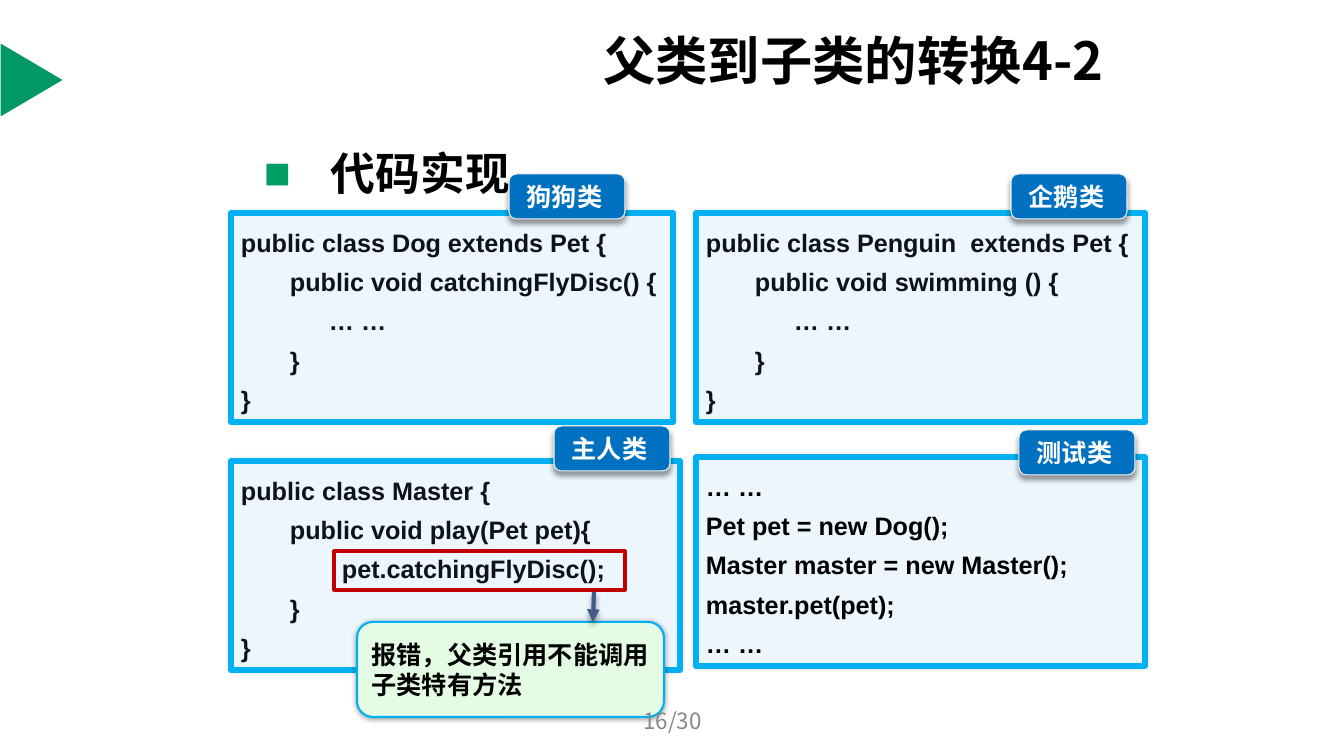
from dataclasses import dataclass

from lxml import etree
from pptx import Presentation
from pptx.dml.color import RGBColor
from pptx.enum.shapes import MSO_CONNECTOR, MSO_SHAPE
from pptx.enum.text import MSO_ANCHOR, PP_ALIGN
from pptx.oxml.ns import qn
from pptx.util import Emu, Pt

EMU_PER_PIXEL = 914400 / 100.8

RECT, ROUND, TRIANGLE = MSO_SHAPE.RECTANGLE, MSO_SHAPE.ROUNDED_RECTANGLE, MSO_SHAPE.ISOSCELES_TRIANGLE
TOP, MIDDLE, BOTTOM = MSO_ANCHOR.TOP, MSO_ANCHOR.MIDDLE, MSO_ANCHOR.BOTTOM
LEFT, CENTER = PP_ALIGN.LEFT, PP_ALIGN.CENTER
STRAIGHT = MSO_CONNECTOR.STRAIGHT

BLACK = RGBColor(0x00, 0x00, 0x00)
WHITE = RGBColor(0xFF, 0xFF, 0xFF)
INK = RGBColor(0x0D, 0x12, 0x1B)
GREEN = RGBColor(0x00, 0x99, 0x66)
BULLET_GREEN = RGBColor(0x00, 0x9E, 0x64)
PALE_BLUE = RGBColor(0xED, 0xF5, 0xFD)
SKY = RGBColor(0x00, 0xB0, 0xF0)
BLUE = RGBColor(0x00, 0x70, 0xC0)
PALE_GRAY = RGBColor(0xF2, 0xF2, 0xF2)
RED = RGBColor(0xC0, 0x00, 0x00)
MINT = RGBColor(0xE4, 0xFC, 0xE4)
SLATE = RGBColor(0x41, 0x5A, 0x86)
GRAY = RGBColor(0x89, 0x89, 0x89)

SANS, CJK = "Arial", "Noto Sans CJK SC"


def px(length: float) -> Emu:
    return Emu(round(length * EMU_PER_PIXEL))


@dataclass(frozen=True)
class Box:
    left: int
    top: int
    width: int
    height: int

    def emu(self) -> list[Emu]:
        return [px(v) for v in (self.left, self.top, self.width, self.height)]


@dataclass(frozen=True)
class Shadow:
    alpha: int
    blur: int
    distance: int


@dataclass(frozen=True)
class Look:
    preset: int
    fill: RGBColor | None = None
    line: RGBColor | None = None
    weight: float = 0
    shadow: Shadow | None = None
    radius: float | None = None


@dataclass(frozen=True)
class TextStyle:
    size: float
    color: RGBColor
    font: str = SANS
    bold: bool = True
    anchor: int = TOP
    align: int = LEFT
    spacing: float = 1.0
    right_inset: int = 10
    left_inset: int = 10


@dataclass(frozen=True)
class Line:
    text: str
    indent: int = 0


@dataclass(frozen=True)
class CodePanel:
    box: Box
    color: RGBColor
    lines: list[Line]


@dataclass(frozen=True)
class ClassTag:
    name: str
    left: int
    top: int


PANEL_SHADOW, TAG_SHADOW, NOTE_SHADOW = Shadow(10, 3, 0), Shadow(40, 4, 3), Shadow(40, 4, 1)
PANEL = Look(ROUND, PALE_BLUE, SKY, 4, PANEL_SHADOW, 0)
TAG = Look(ROUND, BLUE, PALE_GRAY, 0.75, TAG_SHADOW)
NOTE = Look(ROUND, MINT, SKY, 1.5, NOTE_SHADOW)
ERROR_FRAME = Look(RECT, None, RED, 2.25)
MARKER = Look(TRIANGLE, GREEN)

TAG_TEXT = TextStyle(18, WHITE, anchor=BOTTOM, align=CENTER, left_inset=0, right_inset=5)
METHOD, BODY, CALL = 49, 88, 101

PANELS = [
    CodePanel(Box(231, 461, 449, 209), INK, [
        Line("public class Master {"), Line("public void play(Pet pet){", METHOD),
        Line("pet.catchingFlyDisc();", CALL), Line("}", METHOD), Line("}")]),
    CodePanel(Box(696, 213, 449, 209), INK, [
        Line("public class Penguin  extends Pet {"), Line("public void swimming () {", METHOD),
        Line("… …", BODY), Line("}", METHOD), Line("}")]),
    CodePanel(Box(231, 213, 442, 209), INK, [
        Line("public class Dog extends Pet {"), Line("public void catchingFlyDisc() {", METHOD),
        Line("… …", BODY), Line("}", METHOD), Line("}")]),
    CodePanel(Box(696, 457, 449, 209), BLACK, [
        Line("… …"), Line("Pet pet = new Dog();"), Line("Master master = new Master();"),
        Line("master.pet(pet);"), Line("… …")]),
]
TAGS = [ClassTag("狗狗类", 509, 174), ClassTag("企鹅类", 1011, 174),
        ClassTag("主人类", 554, 426), ClassTag("测试类", 1019, 430)]


def apply(target: object, values: dict[str, object]) -> None:
    for name, value in values.items():
        setattr(target, name, value)


def add_shadow(effects: etree._Element, shadow: Shadow) -> None:
    outer = etree.SubElement(effects, qn("a:outerShdw"), blurRad=str(Pt(shadow.blur)),
                             dist=str(Pt(shadow.distance)), dir="5400000", rotWithShape="0")
    black = etree.SubElement(outer, qn("a:srgbClr"), val=str(BLACK))
    etree.SubElement(black, qn("a:alpha"), val=str(shadow.alpha * 1000))


def add_figure(box: Box, look: Look):
    figure = slide.shapes.add_shape(look.preset, *box.emu())
    if look.radius is not None:
        figure.adjustments[0] = look.radius
    if look.fill is None:
        figure.fill.background()
    else:
        figure.fill.solid()
        figure.fill.fore_color.rgb = look.fill
    if look.line is None:
        figure.line.fill.background()
    else:
        figure.line.color.rgb = look.line
        figure.line.width = Pt(look.weight)
    figure.shadow.inherit = False
    if look.shadow:
        add_shadow(figure._element.spPr.find(qn("a:effectLst")), look.shadow)
    return figure


def write(holder, lines: list[Line], style: TextStyle) -> None:
    frame = holder.text_frame
    apply(frame, {"word_wrap": True, "vertical_anchor": style.anchor,
                  "margin_left": px(style.left_inset), "margin_right": px(style.right_inset),
                  "margin_top": px(5), "margin_bottom": px(5)})
    for number, line in enumerate(lines):
        paragraph = frame.add_paragraph() if number else frame.paragraphs[0]
        apply(paragraph, {"alignment": style.align, "line_spacing": style.spacing})
        paragraph._p.get_or_add_pPr().set("marL", str(px(line.indent)))
        run = paragraph.add_run()
        run.text = line.text
        apply(run.font, {"size": Pt(style.size), "bold": style.bold, "name": style.font})
        run.font.color.rgb = style.color
        if style.font == CJK:
            etree.SubElement(run._r.get_or_add_rPr(), qn("a:ea"), typeface=CJK)


def add_text(box: Box, text: str, style: TextStyle, indent: int = 0):
    holder = slide.shapes.add_textbox(*box.emu())
    write(holder, [Line(text, indent)], style)
    return holder


def add_square_bullet(holder, hang: int) -> None:
    properties = holder.text_frame.paragraphs[0]._p.get_or_add_pPr()
    properties.set("indent", str(px(-hang)))
    color = etree.SubElement(properties, qn("a:buClr"))
    etree.SubElement(color, qn("a:srgbClr"), val=str(BULLET_GREEN))
    etree.SubElement(properties, qn("a:buFont"), typeface=SANS)
    etree.SubElement(properties, qn("a:buChar"), char="■")


def add_arrow(start: tuple[int, int], end: tuple[int, int]) -> None:
    arrow = slide.shapes.add_connector(STRAIGHT, *(px(v) for v in start + end))
    arrow.line.color.rgb = SLATE
    arrow.line.width = Pt(3)
    etree.SubElement(arrow.line._get_or_add_ln(), qn("a:tailEnd"), type="triangle")
    add_shadow(etree.SubElement(arrow._element.spPr, qn("a:effectLst")), TAG_SHADOW)


deck = Presentation()
apply(deck, {"slide_width": px(1344), "slide_height": px(756)})
slide = deck.slides.add_slide(deck.slide_layouts[6])

add_figure(Box(-5, 49, 73, 62), MARKER).rotation = 90
add_text(Box(593, 31, 563, 57), "父类到子类的转换4-2", TextStyle(37.4, BLACK, CJK, anchor=MIDDLE))
topic = add_text(Box(254, 141, 843, 88), "代码实现", TextStyle(32, BLACK, CJK), 67)
add_square_bullet(topic, 67)

for panel in PANELS:
    write(add_figure(panel.box, PANEL), panel.lines, TextStyle(18, panel.color, spacing=1.3))
for tag in TAGS:
    write(add_figure(Box(tag.left, tag.top, 116, 45), TAG), [Line(tag.name)], TAG_TEXT)

add_figure(Box(334, 551, 291, 39), ERROR_FRAME)
error_note = add_figure(Box(357, 622, 307, 95), NOTE)
write(error_note, [Line("报错，父类引用不能调用子类特有方法")], TextStyle(18, BLACK, anchor=MIDDLE))
add_arrow((594, 592), (593, 622))
add_text(Box(460, 701, 425, 40), "16/30",
         TextStyle(16, GRAY, CJK, bold=False, anchor=MIDDLE, align=CENTER))

deck.save("out.pptx")
